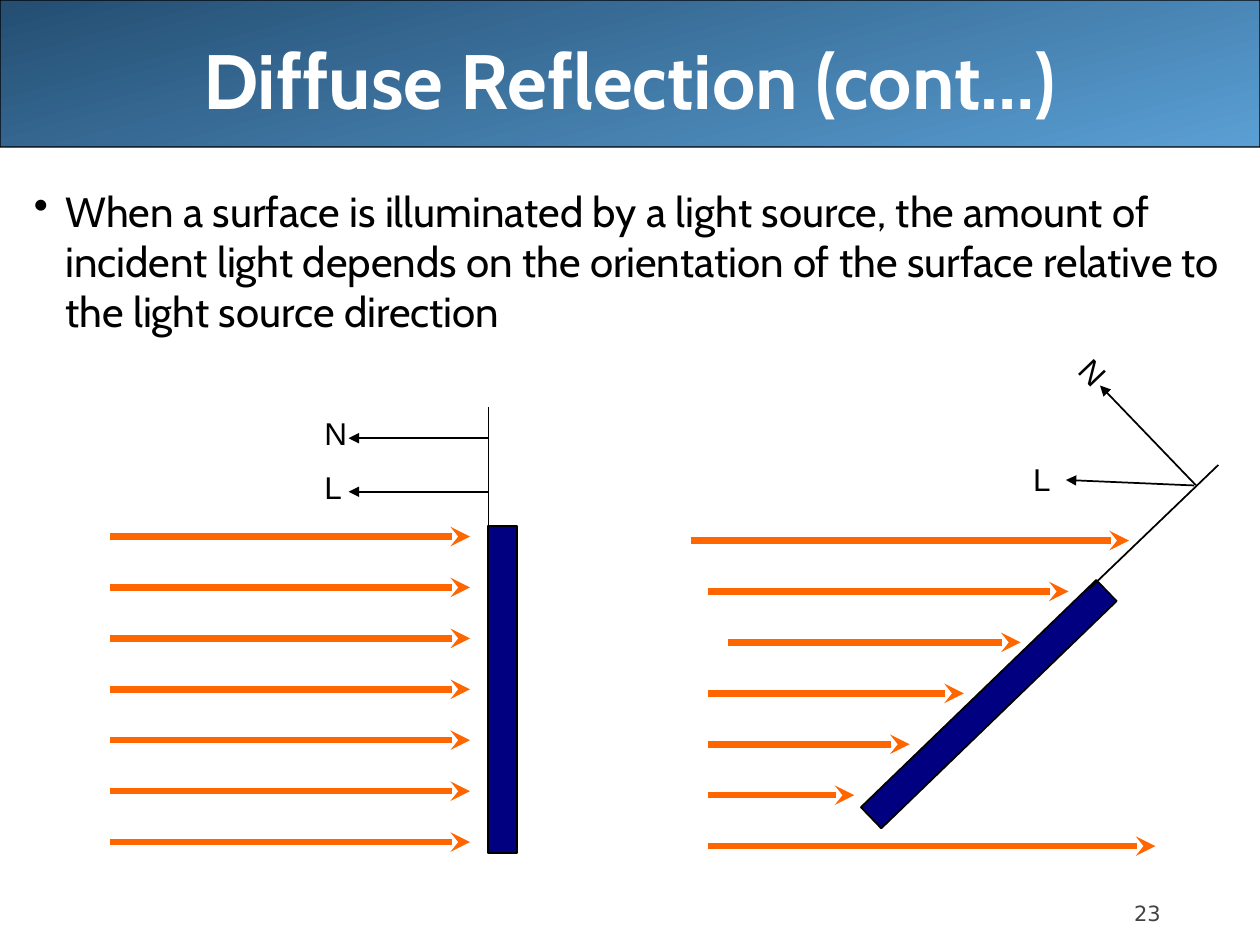
"""Build the Diffuse Reflection slide with its two light-on-surface diagrams."""
from lxml import etree
from pptx import Presentation
from pptx import util as u
from pptx.dml.color import RGBColor
from pptx.enum import shapes, text
from pptx.oxml import ns

BLACK = RGBColor(0x00, 0x00, 0x00)
WHITE = RGBColor(0xFF, 0xFF, 0xFF)
GREY = RGBColor(0x42, 0x42, 0x42)
NAVY = RGBColor(0x00, 0x00, 0x80)
ORANGE = RGBColor(0xFF, 0x66, 0x00)
DARK_BLUE = RGBColor(0x24, 0x4E, 0x72)
LIGHT_BLUE = RGBColor(0x5A, 0x9F, 0xD4)

RAY_PITCH = 29.1
LEFT_RAYS = [(62.6, 268.6)] * 7
RIGHT_RAYS = [(394.6, 645.1), (404.6, 610.6), (416.2, 583.2), (404.6, 550.8),
              (404.6, 519.8), (404.6, 488.2), (404.6, 660.2)]


def add_child(parent, tag, **attrs):
    return etree.SubElement(parent, ns.qn(tag), attrs)


class Deck:
    def __init__(self):
        self.prs = Presentation()
        self.prs.slide_width, self.prs.slide_height = u.Pt(720), u.Pt(540)
        self.s = self.prs.slides.add_slide(self.prs.slide_layouts[6])
        self.heading_font, self.label_font = "Cabin", "Arial"

    def banner(self, x, y, w, h):
        sp = self.box(x, y, w, h, shapes.MSO_SHAPE.ROUNDED_RECTANGLE, weight=0.75)
        sp.adjustments[0] = 0.001
        sp.fill.gradient()
        sp.fill.gradient_angle = 285
        for stop, color in zip(sp.fill.gradient_stops, (DARK_BLUE, LIGHT_BLUE)):
            stop.color.rgb = color

    def box(self, x, y, w, h, kind=shapes.MSO_SHAPE.RECTANGLE, weight=1, rotation=0):
        sp = self.s.shapes.add_shape(kind, u.Pt(x), u.Pt(y), u.Pt(w), u.Pt(h))
        sp.shadow.inherit = False
        sp.fill.solid()
        sp.fill.fore_color.rgb = NAVY
        sp.line.color.rgb = BLACK
        sp.line.width = u.Pt(weight)
        sp.rotation = rotation
        return sp

    def line(self, x1, y1, x2, y2, color=BLACK, weight=1, head=None):
        sp = self.s.shapes.add_connector(shapes.MSO_CONNECTOR.STRAIGHT,
                                         u.Pt(x1), u.Pt(y1), u.Pt(x2), u.Pt(y2))
        sp.line.color.rgb = color
        sp.line.width = u.Pt(weight)
        if head:
            add_child(sp.line._get_or_add_ln(), "a:tailEnd", type=head)
        add_child(sp._element.spPr, "a:effectLst")

    def rays(self, y, spans):
        for i, (x1, x2) in enumerate(spans):
            row = y + i * RAY_PITCH
            self.line(x1, row, x2, row, ORANGE, 3.75, "stealth")

    def text(self, x, y, w, h, words, size, font, color=BLACK, bold=False, wrap=True,
             anchor=text.MSO_ANCHOR.TOP, align=text.PP_ALIGN.LEFT, bullet=False):
        sp = self.s.shapes.add_textbox(u.Pt(x), u.Pt(y), u.Pt(w), u.Pt(h))
        tf = sp.text_frame
        tf.word_wrap = wrap
        tf.vertical_anchor = anchor
        p = tf.paragraphs[0]
        p.text = words
        p.alignment = align
        if bullet:
            pPr = p._p.get_or_add_pPr()
            pPr.set("marL", str(u.Pt(18)))
            pPr.set("indent", str(-u.Pt(18)))
            add_child(add_child(pPr, "a:buClr"), "a:srgbClr", val=str(BLACK))
            add_child(pPr, "a:buChar", char="•")
        r = p.runs[0]
        r.font.name, r.font.size, r.font.bold = font, u.Pt(size), bold
        r.font.color.rgb = color
        return sp

    def label(self, x, y, words, rotation=0):
        sp = self.text(x, y, 26, 29, words, 18, self.label_font, wrap=False)
        sp.rotation = rotation

    def page_number(self, x, y, w, h, words):
        sp = self.text(x, y, w, h, words, 12, "DejaVu Sans", GREY,
                       anchor=text.MSO_ANCHOR.BOTTOM)
        tf = sp.text_frame
        tf.margin_left = tf.margin_right = tf.margin_top = tf.margin_bottom = 0


def main():
    d = Deck()
    d.banner(0, 0, 720, 84)
    d.page_number(648, 500.4, 60, 28.8, "23")
    d.text(36, 0, 648, 90, "Diffuse Reflection (cont…)", 44, d.heading_font, WHITE, True,
           anchor=text.MSO_ANCHOR.MIDDLE, align=text.PP_ALIGN.CENTER)
    d.text(12.24, 102.24, 707.76, 408.24,
           "When a surface is illuminated by a light source, the amount of incident light "
           "depends on the orientation of the surface relative to the light source direction",
           24, d.heading_font, bullet=True)

    d.box(278.8, 300.4, 16.8, 187)
    d.rays(306.6, LEFT_RAYS)
    d.line(279.2, 232.6, 279.2, 334.8)
    for y, words in ((250.4, "N"), (281, "L")):
        d.line(278.8, y, 199.2, y, head="triangle")
        d.label(178.2, y - 17.2, words)

    d.box(556.6, 308.9, 16.8, 187, rotation=46)
    d.rays(308.9, RIGHT_RAYS)
    d.line(696.2, 265.7, 622.8, 336.2)
    d.line(683.3, 277.2, 628.6, 220.3, head="triangle")
    d.line(682.2, 277.4, 609.1, 274.3, head="triangle")
    d.label(611.3, 198, "N", 46.3)
    d.label(583.2, 259.2, "L")

    d.prs.save("out.pptx")


if __name__ == "__main__":
    main()
